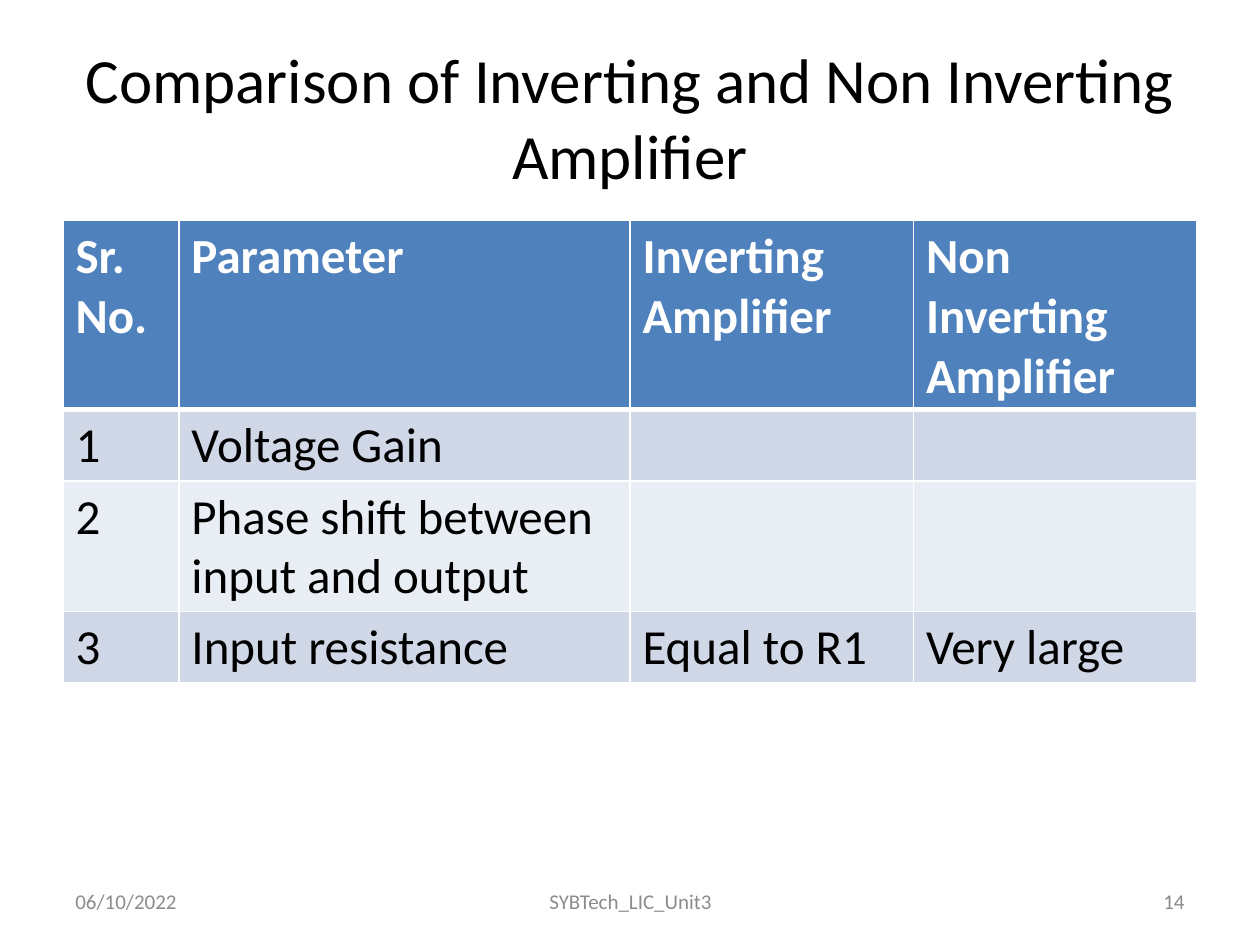
import pptx
import pptx.dml.color
import pptx.enum.text
import pptx.oxml.ns
import pptx.util
from lxml import etree

Inches, Pt = pptx.util.Inches, pptx.util.Pt
RGB = pptx.dml.color.RGBColor.from_string
ALIGN = pptx.enum.text.PP_ALIGN
MIDDLE = pptx.enum.text.MSO_ANCHOR.MIDDLE
qn = pptx.oxml.ns.qn

COLORS = {
    "text": "000000",
    "white": "FFFFFF",
    "header": "4F81BD",
    "odd": "D0D8E8",
    "even": "E9EDF4",
    "footer": "8C8C8C",
    "number": "898989",
}


def add_run(p, text, size, color, bold=False):
    r = p.add_run()
    r.text = text
    r.font.name = "Calibri"
    r.font.size = Pt(size)
    r.font.bold = bold
    r.font.color.rgb = RGB(COLORS[color])


def set_borders(cell, widths):
    """Give the cell white borders; widths are points for left, right, top, bottom."""
    tc_pr = cell._tc.get_or_add_tcPr()
    for i, (side, width) in enumerate(zip("LRTB", widths)):
        ln = etree.Element(qn(f"a:ln{side}"), w=str(Pt(width)))
        fill = etree.SubElement(ln, qn("a:solidFill"))
        etree.SubElement(fill, qn("a:srgbClr"), val=COLORS["white"])
        tc_pr.insert(i, ln)


prs = pptx.Presentation()
prs.slide_width, prs.slide_height = Inches(10), Inches(7.5)
s = prs.slides.add_slide(prs.slide_layouts[6])

# Title and footer: left, top, width, height, text, size, colour, alignment
texts = [
    (0.5, 0.3, 9, 1.25, "Comparison of Inverting and Non Inverting Amplifier",
     36, "text", ALIGN.CENTER),
    (0.5, 6.95, 2.33, 0.4, "06/10/2022", 12, "footer", ALIGN.LEFT),
    (3.42, 6.95, 3.17, 0.4, "SYBTech_LIC_Unit3", 12, "footer", ALIGN.CENTER),
    (7.17, 6.95, 2.33, 0.4, "14", 12, "number", ALIGN.RIGHT),
]
for left, top, width, height, text, size, color, align in texts:
    sp = s.shapes.add_textbox(Inches(left), Inches(top), Inches(width), Inches(height))
    tf = sp.text_frame
    tf.word_wrap = True
    tf.vertical_anchor = MIDDLE
    p = tf.paragraphs[0]
    p.alignment = align
    add_run(p, text, size, color)

# Comparison table
rows = [
    ("Sr. No.", "Parameter", "Inverting Amplifier", "Non Inverting Amplifier"),
    ("1", "Voltage Gain", "", ""),
    ("2", "Phase shift between input and output", "", ""),
    ("3", "Input resistance", "Equal to R1", "Very large"),
]
col_widths = [0.92, 3.58, 2.25, 2.25]
row_height = 0.41  # rows grow to fit their text

table = s.shapes.add_table(
    len(rows), len(col_widths), Inches(0.5), Inches(1.75),
    Inches(9), Inches(row_height * len(rows))).table
for column, width in zip(table.columns, col_widths):
    column.width = Inches(width)

for i, row in enumerate(rows):
    table.rows[i].height = Inches(row_height)
    is_header = i == 0
    fill = "header" if is_header else "odd" if i % 2 else "even"
    for j, text in enumerate(row):
        cell = table.cell(i, j)
        cell.fill.solid()
        cell.fill.fore_color.rgb = RGB(COLORS[fill])
        set_borders(cell, (1, 1, 3 if i == 1 else 1, 3 if is_header else 1))
        if text:
            add_run(cell.text_frame.paragraphs[0], text, 28,
                    "white" if is_header else "text", is_header)

prs.save("out.pptx")
